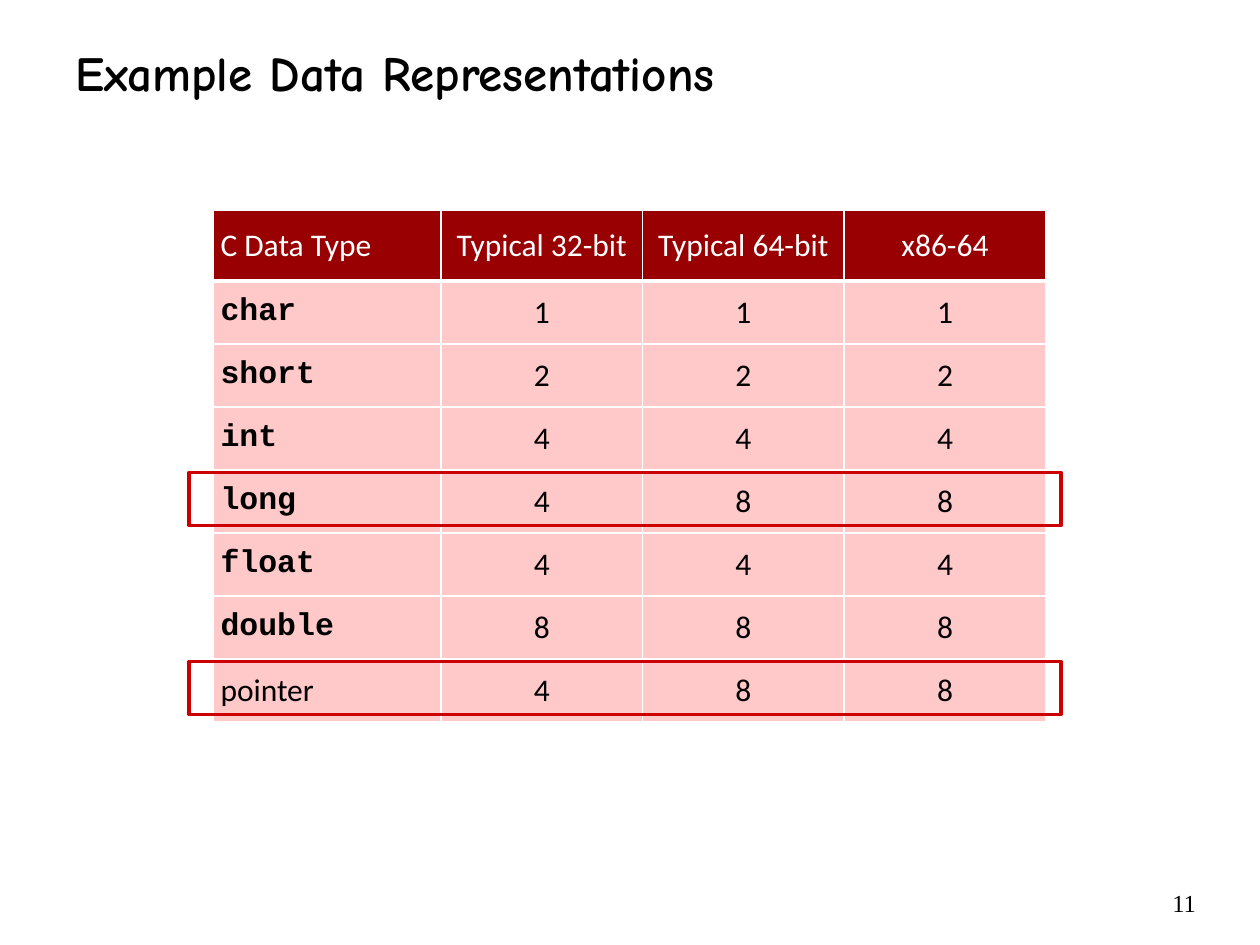
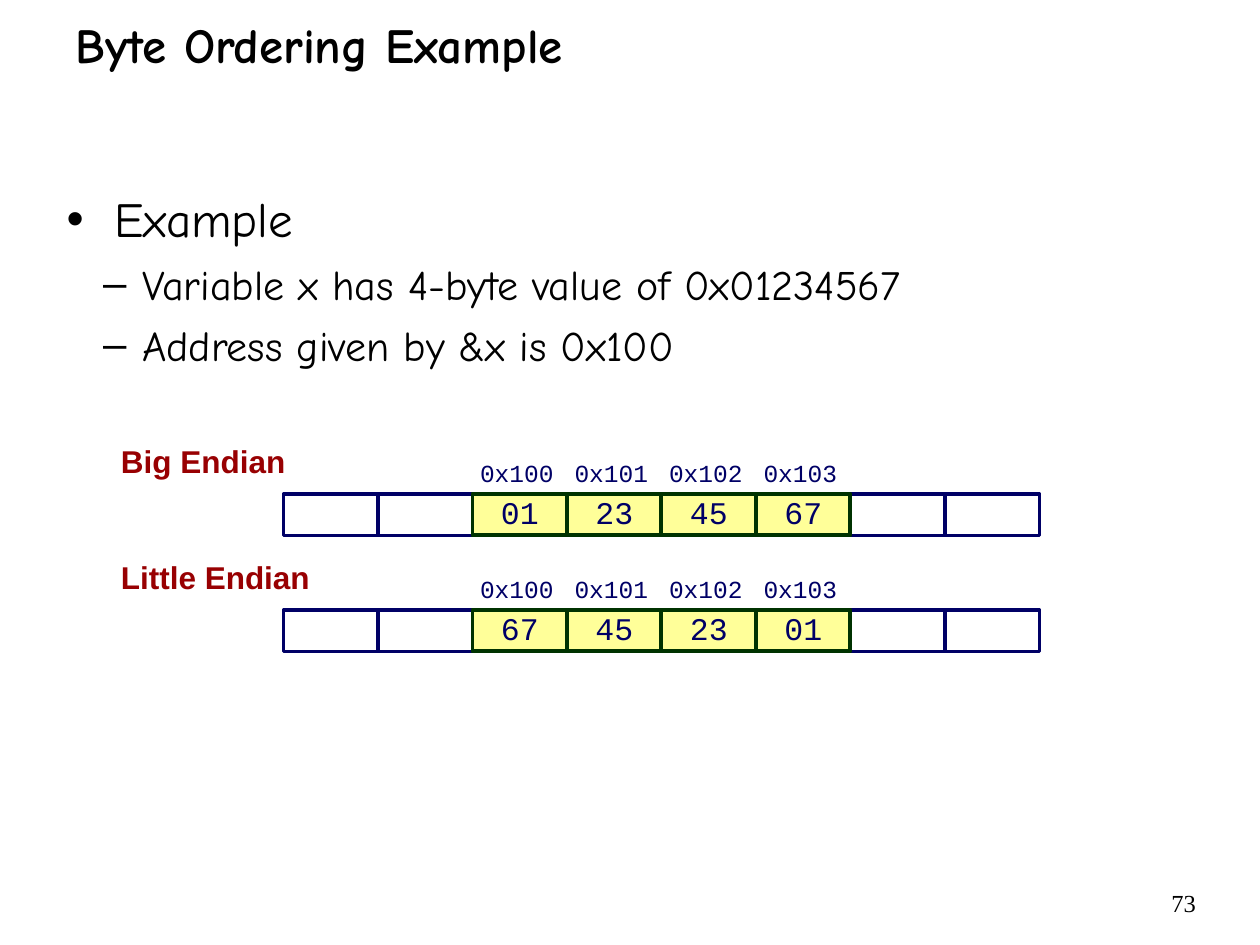
import pptx
import pptx.util
import pptx.dml.color
import pptx.enum.shapes
import pptx.enum.text
import pptx.oxml.ns
from lxml import etree

Inches = pptx.util.Inches
Pt = pptx.util.Pt
RGBColor = pptx.dml.color.RGBColor
Align = pptx.enum.text.PP_ALIGN
Anchor = pptx.enum.text.MSO_ANCHOR
qn = pptx.oxml.ns.qn

BLACK = RGBColor(0x00, 0x00, 0x00)
WHITE = RGBColor(0xFF, 0xFF, 0xFF)
DARK_RED = RGBColor(0x98, 0x00, 0x02)
PINK = RGBColor(0xFF, 0xC8, 0xC9)
RED = RGBColor(0xCC, 0x00, 0x00)
NAVY = RGBColor(0x00, 0x00, 0x66)
YELLOW = RGBColor(0xFF, 0xFF, 0x99)
DARK_GREEN = RGBColor(0x00, 0x33, 0x00)

HAND_FONT = "Comic Neue"
CODE_FONT = "Courier New"
TABLE_FONT = "Calibri"
LABEL_FONT = "Arial"
NUMBER_FONT = "Times New Roman"

HEADER = ["C Data Type", "Typical 32-bit", "Typical 64-bit", "x86-64"]
TYPE_SIZES = [
    ("char", 1, 1, 1),
    ("short", 2, 2, 2),
    ("int", 4, 4, 4),
    ("long", 4, 8, 8),
    ("float", 4, 4, 4),
    ("double", 8, 8, 8),
    ("pointer", 4, 8, 8),
]
COLUMN_WIDTHS = [1.81, 1.6, 1.6, 1.6]
HEADER_HEIGHT = 0.56
ROW_HEIGHT = 0.5

ADDRESSES = ["0x100", "0x101", "0x102", "0x103"]
BYTE_WIDTH = 0.75
BYTE_HEIGHT = 0.33
MEMORY_LEFT = 2.25
MEMORY_CELLS = 8
FIRST_BYTE = 2


def add_span(para, text, font, size, color, bold=False):
    span = para.add_run()
    span.text = text
    span.font.name = font
    span.font.size = Pt(size)
    span.font.color.rgb = color
    span.font.bold = bold


def set_margins(target, left, top, right, bottom):
    target.margin_left = Inches(left)
    target.margin_top = Inches(top)
    target.margin_right = Inches(right)
    target.margin_bottom = Inches(bottom)


def add_box(shapes, left, top, width, height, wrap=True):
    box = shapes.add_textbox(Inches(left), Inches(top), Inches(width), Inches(height))
    box.text_frame.word_wrap = wrap
    return box.text_frame


def add_rectangle(shapes, left, top, width, height, fill, line, line_width):
    rectangle = shapes.add_shape(
        pptx.enum.shapes.MSO_SHAPE.RECTANGLE,
        Inches(left), Inches(top), Inches(width), Inches(height))
    rectangle.shadow.inherit = False
    if fill is None:
        rectangle.fill.background()
    else:
        rectangle.fill.solid()
        rectangle.fill.fore_color.rgb = fill
    rectangle.line.color.rgb = line
    rectangle.line.width = Pt(line_width)
    return rectangle


def add_page(deck, title, title_top, number):
    page = deck.slides.add_slide(deck.slide_layouts[5])
    heading = page.shapes.title
    heading.left, heading.top = Inches(0.5), Inches(title_top)
    heading.width, heading.height = Inches(9.08), Inches(0.7)
    frame = heading.text_frame
    frame.auto_size = pptx.enum.text.MSO_AUTO_SIZE.NONE
    frame.vertical_anchor = Anchor.MIDDLE
    para = frame.paragraphs[0]
    para.alignment = Align.LEFT
    add_span(para, title, HAND_FONT, 28, BLACK, True)

    para = add_box(page.shapes, 8.17, 7, 1.42, 0.28).paragraphs[0]
    para.alignment = Align.RIGHT
    add_span(para, number, NUMBER_FONT, 14, BLACK)
    return page


def set_borders(cell, widths):
    properties = cell._tc.get_or_add_tcPr()
    for side, width in zip("LRTB", widths):
        line = etree.SubElement(properties, qn(f"a:ln{side}"), w=str(Pt(width)))
        fill = etree.SubElement(line, qn("a:solidFill"))
        etree.SubElement(fill, qn("a:srgbClr"), val=str(WHITE))


def fill_cell(cell, value, row, column):
    is_header = row == 0
    is_code = column == 0 and not is_header and value != "pointer"
    set_borders(cell, (1, 1, 3 if row == 1 else 1, 3 if is_header else 1))
    cell.fill.solid()
    cell.fill.fore_color.rgb = DARK_RED if is_header else PINK
    cell.vertical_anchor = Anchor.MIDDLE
    set_margins(cell, 0.06, 0.06, 0.06, 0.06)
    para = cell.text_frame.paragraphs[0]
    para.alignment = Align.LEFT if column == 0 else Align.CENTER
    add_span(para, str(value), CODE_FONT if is_code else TABLE_FONT, 18,
             WHITE if is_header else BLACK, is_code)


def add_size_table(page):
    rows = [HEADER, *TYPE_SIZES]
    height = HEADER_HEIGHT + ROW_HEIGHT * len(TYPE_SIZES)
    table = page.shapes.add_table(
        len(rows), len(HEADER), Inches(1.69), Inches(1.67),
        Inches(sum(COLUMN_WIDTHS)), Inches(height)).table
    for column, width in enumerate(COLUMN_WIDTHS):
        table.columns[column].width = Inches(width)
    for row, values in enumerate(rows):
        table.rows[row].height = Inches(ROW_HEIGHT if row else HEADER_HEIGHT)
        for column, value in enumerate(values):
            fill_cell(table.cell(row, column), value, row, column)


def add_bullet(para, mark, text, indent, hanging, size):
    properties = para._p.get_or_add_pPr()
    properties.set("marL", str(Inches(indent)))
    properties.set("indent", str(-Inches(hanging)))
    etree.SubElement(properties, qn("a:buFont"), typeface=LABEL_FONT)
    etree.SubElement(properties, qn("a:buChar"), char=mark)
    add_span(para, text, HAND_FONT, size, BLACK)


def add_example(page):
    frame = add_box(page.shapes, 0.43, 1.45, 8.64, 1.6)
    add_bullet(frame.paragraphs[0], "•", "Example", 0.38, 0.38, 28)
    for text in ("Variable x has 4-byte value of 0x01234567",
                 "Address given by &x is 0x100"):
        para = frame.add_paragraph()
        para.level = 1
        para.space_before = Pt(6)
        add_bullet(para, "–", text, 0.6, 0.31, 24)


def add_memory(page, label, byte_values, top):
    frame = add_box(page.shapes, 0.92, top - 0.42, 1.96, 0.36)
    set_margins(frame, 0.04, 0.03, 0.07, 0.03)
    frame.paragraphs[0].line_spacing = 0.95
    add_span(frame.paragraphs[0], label, LABEL_FONT, 18, DARK_RED, True)

    shapes = page.shapes.add_group_shape().shapes
    lefts = [MEMORY_LEFT + BYTE_WIDTH * index for index in range(MEMORY_CELLS)]
    used = lefts[FIRST_BYTE:FIRST_BYTE + len(byte_values)]
    for left in lefts:
        if left not in used:
            add_rectangle(shapes, left, top, BYTE_WIDTH, BYTE_HEIGHT, WHITE, NAVY, 2)
    for left, address, value in zip(used, ADDRESSES, byte_values):
        frame = add_box(shapes, left, top - BYTE_HEIGHT, BYTE_WIDTH, BYTE_HEIGHT, False)
        set_margins(frame, 0.06, 0.06, 0.1, 0.06)
        frame.vertical_anchor = Anchor.MIDDLE
        add_span(frame.paragraphs[0], address, CODE_FONT, 14, NAVY)

        cell = add_rectangle(shapes, left, top, BYTE_WIDTH, BYTE_HEIGHT,
                             YELLOW, DARK_GREEN, 2.25)
        frame = cell.text_frame
        set_margins(frame, 0.06, 0, 0.06, 0)
        frame.vertical_anchor = Anchor.MIDDLE
        para = frame.paragraphs[0]
        para.alignment = Align.CENTER
        para.line_spacing = 0.9
        add_span(para, value, CODE_FONT, 18, NAVY)


def main():
    deck = pptx.Presentation()
    deck.slide_width, deck.slide_height = Inches(10), Inches(7.5)

    page = add_page(deck, "Example Data Representations", 0.22, "11")
    add_size_table(page)
    for top in (3.75, 5.25):
        add_rectangle(page.shapes, 1.5, top, 6.92, 0.42, None, RED, 2)

    page = add_page(deck, "Byte Ordering Example", 0, "73")
    add_example(page)
    big_endian = ["01", "23", "45", "67"]
    add_memory(page, "Big Endian", big_endian, 3.92)
    add_memory(page, "Little Endian", big_endian[::-1], 4.84)

    deck.save("out.pptx")


if __name__ == "__main__":
    main()
